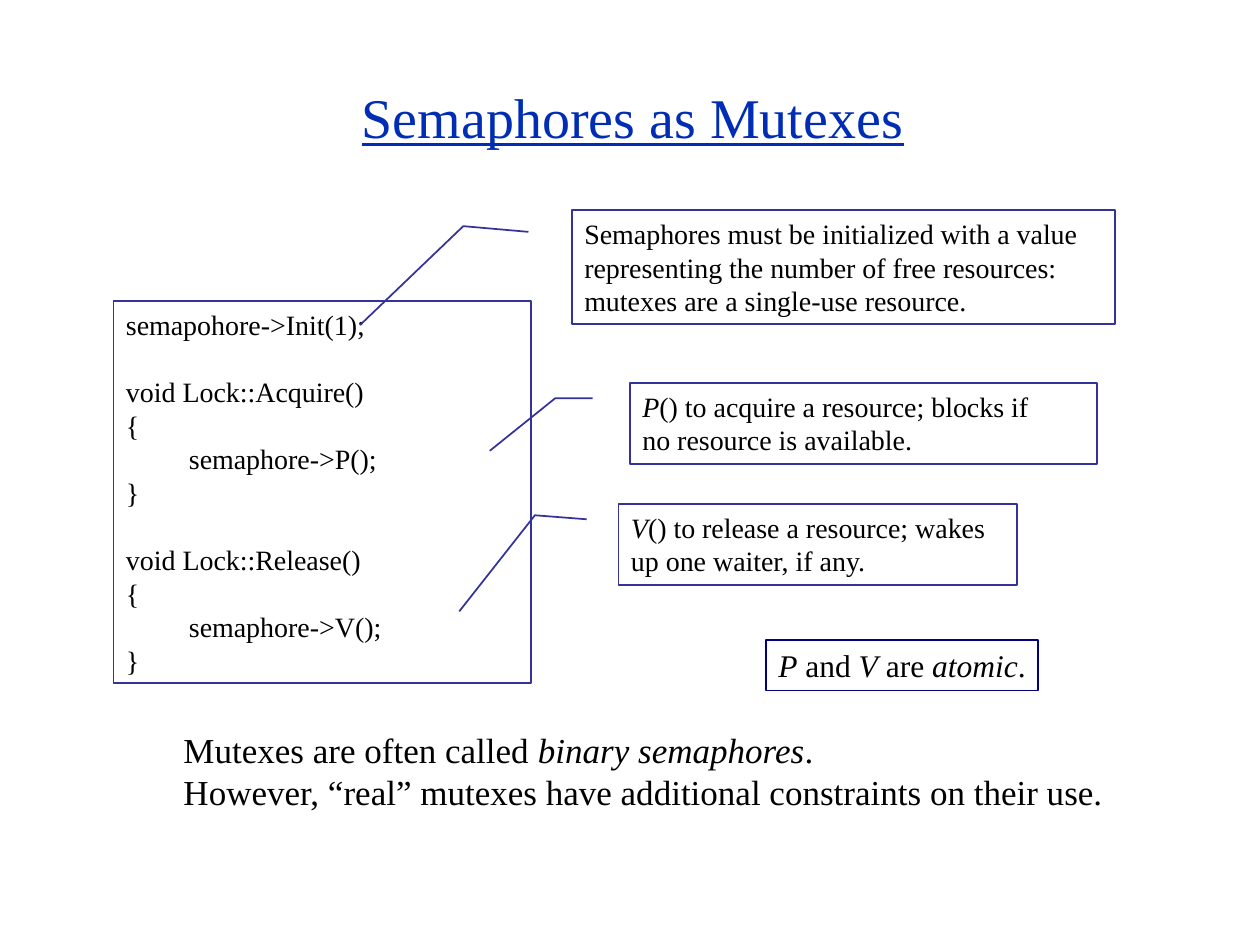
from pptx import Presentation
from pptx.dml.color import RGBColor
from pptx.enum.shapes import MSO_SHAPE as Shape
from pptx.enum.text import MSO_ANCHOR as Anchor, PP_ALIGN as Align
from pptx.util import Cm, Pt

FONT = "Times New Roman"
COLORS = {
    "title": "002DB4",
    "text": "000000",
    "paper": "FFFFFF",
    "border": "333399",
    "emphasis": "000080",
}


def write_lines(frame, lines, size, color="text", align=Align.LEFT):
    """Write one paragraph per line; *asterisks* enclose italics and an empty line becomes space before the next."""
    frame.margin_left = frame.margin_right = Cm(0.25)
    frame.margin_top = frame.margin_bottom = Cm(0.13)
    paragraph, gap = None, 0
    for line in lines:
        if not line:
            gap = size * 1.2
            continue
        paragraph = frame.add_paragraph() if paragraph else frame.paragraphs[0]
        paragraph.alignment = align
        paragraph.space_before = Pt(gap)
        gap = 0
        for index, part in enumerate(line.split("*")):
            if part:
                run = paragraph.add_run()
                run.text = part
                run.font.name = FONT
                run.font.size = Pt(size)
                run.font.italic = index % 2 == 1
                run.font.color.rgb = RGBColor.from_string(COLORS[color])


def add_box(kind, place, lines, size, border="border", wrap=True):
    box = slide.shapes.add_shape(kind, *map(Cm, place))
    box.shadow.inherit = False
    box.fill.solid()
    box.fill.fore_color.rgb = RGBColor.from_string(COLORS["paper"])
    box.line.color.rgb = RGBColor.from_string(COLORS[border])
    box.line.width = Pt(1)
    box.text_frame.word_wrap = wrap
    box.text_frame.vertical_anchor = Anchor.TOP
    write_lines(box.text_frame, lines, size)
    return box


prs = Presentation()
prs.slide_width, prs.slide_height = Cm(25.4), Cm(19.05)
slide = prs.slides.add_slide(prs.slide_layouts[5])

title = slide.shapes.title
title.left, title.top, title.width, title.height = map(Cm, (1.96, 1.17, 21.59, 2.34))
title.text_frame.vertical_anchor = Anchor.MIDDLE
write_lines(title.text_frame, ["Semaphores as Mutexes"], 32, "title", Align.CENTER)
title.text_frame.paragraphs[0].runs[0].font.underline = True

code = [
    "semapohore->Init(1);",
    "",
    "void Lock::Acquire()",
    "{",
    "\tsemaphore->P();",
    "}",
    "",
    "void Lock::Release()",
    "{",
    "\tsemaphore->V();",
    "}",
]
add_box(Shape.RECTANGLE, (2.29, 6.07, 8.41, 7.7), code, 16)

# Leader points are (y, x) fractions of the callout's size, from the box to the code
callouts = [
    ((11.53, 4.24, 10.95, 2.29), (0.19, -0.08, 0.14, -0.2, 1.01, -0.39),
     ["Semaphores must be initialized with a value representing "
      "the number of free resources: mutexes are a single-use resource."]),
    ((12.7, 7.72, 9.42, 1.63), (0.19, -0.08, 0.19, -0.16, 0.84, -0.3),
     ["*P*() to acquire a resource; blocks if", "no resource is available."]),
    ((12.47, 10.16, 8.03, 1.63), (0.19, -0.08, 0.14, -0.21, 1.33, -0.4),
     ["*V*() to release a resource; wakes up one waiter, if any."]),
]
for place, leader, lines in callouts:
    callout = add_box(Shape.LINE_CALLOUT_2, place, lines, 16)
    for index, fraction in enumerate(leader):
        callout.adjustments[index] = fraction

summary = slide.shapes.add_textbox(*map(Cm, (3.45, 14.55, 19.08, 1.96)))
summary.text_frame.word_wrap = False
write_lines(summary.text_frame, [
    "Mutexes are often called *binary semaphores*.",
    "However, “real” mutexes have additional constraints on their use.",
], 20)

add_box(Shape.RECTANGLE, (15.44, 12.9, 5.49, 1.02),
        ["*P* and *V* are *atomic*."], 18, "emphasis", wrap=False)

prs.save("out.pptx")
